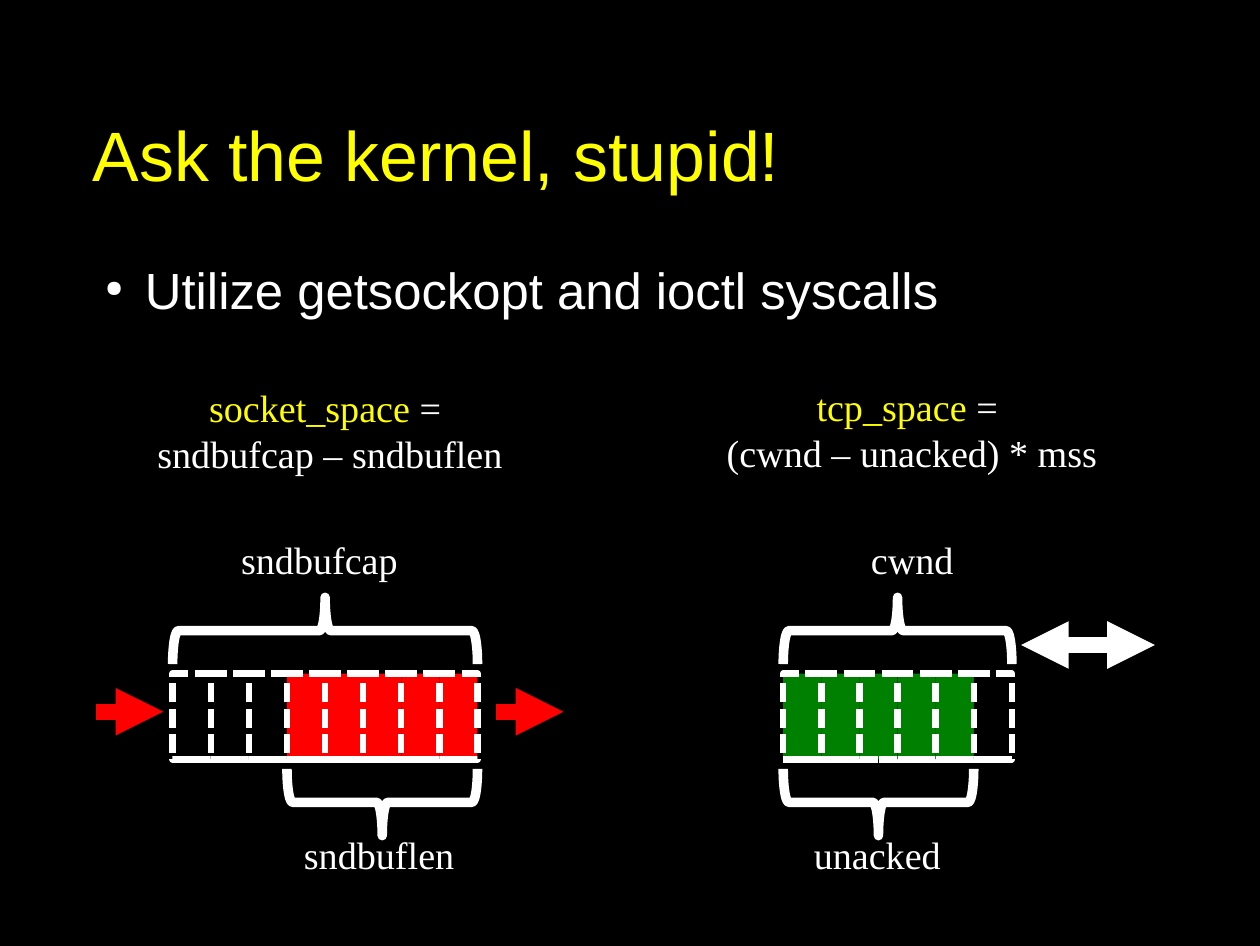
from lxml.etree import SubElement
from pptx import Presentation
from pptx.dml.color import RGBColor
from pptx.enum.dml import MSO_LINE
from pptx.enum.shapes import MSO_CONNECTOR, MSO_SHAPE
from pptx.enum.text import MSO_ANCHOR, MSO_AUTO_SIZE, PP_ALIGN
from pptx.oxml.ns import qn
from pptx.util import Pt

COLORS = {
    "black": "000000",
    "white": "FFFFFF",
    "yellow": "FFFF00",
    "red": "FF0000",
    "green": "008000",
}
CELL_WIDTH, CELL_HEIGHT, CELL_TOP = 24, 54, 424
BRACE_DEPTH, UPPER_BRACE_Y, LOWER_BRACE_Y = 42, 397, 505
ARROW_WIDTH = 10


def color(name):
    return RGBColor.from_string(COLORS[name])


def add_bullet(properties):
    SubElement(SubElement(properties, qn("a:buClr")), qn("a:srgbClr"), val=COLORS["white"])
    SubElement(properties, qn("a:buSzPct"), val="45000")
    SubElement(properties, qn("a:buChar"), char="●")


def add_text(slide, lines, left, top, width, height, *, font="Times New Roman", size=24,
             align=PP_ALIGN.LEFT, anchor=MSO_ANCHOR.TOP, wrap=True, margins=(7.2, 3.6),
             indent=0, hanging=0, spacing=None, after=None, bullet=False):
    frame = slide.shapes.add_textbox(Pt(left), Pt(top), Pt(width), Pt(height)).text_frame
    frame.word_wrap = wrap
    frame.auto_size = MSO_AUTO_SIZE.NONE if wrap else MSO_AUTO_SIZE.SHAPE_TO_FIT_TEXT
    frame.vertical_anchor = anchor
    frame.margin_left = frame.margin_right = Pt(margins[0])
    frame.margin_top = frame.margin_bottom = Pt(margins[1])
    for number, line in enumerate(lines):
        paragraph = frame.add_paragraph() if number else frame.paragraphs[0]
        properties = paragraph._p.get_or_add_pPr()
        properties.set("marL", str(Pt(indent)))
        properties.set("indent", str(Pt(-hanging)))
        if bullet:
            add_bullet(properties)
        paragraph.alignment = align
        paragraph.line_spacing = spacing
        paragraph.space_after = None if after is None else Pt(after)
        for words, ink in line:
            run = paragraph.add_run()
            run.text = words
            run.font.name = font
            run.font.size = Pt(size)
            run.font.color.rgb = color(ink)


def add_formula(slide, name, expression, left, top, width):
    add_text(slide, [[(name + " ", "yellow"), ("= ", "white")], [(expression, "white")]],
             left, top, width, 65.5, align=PP_ALIGN.CENTER, indent=36)


def add_label(slide, words, left, top, width):
    add_text(slide, [[(words, "white")]], left, top, width, 36, wrap=False)


def add_queue(slide, left, fills):
    for position, fill in enumerate(fills):
        cell = slide.shapes.add_shape(
            MSO_SHAPE.RECTANGLE, Pt(left + position * CELL_WIDTH), Pt(CELL_TOP),
            Pt(CELL_WIDTH), Pt(CELL_HEIGHT))
        cell.shadow.inherit = False
        cell.fill.solid()
        cell.fill.fore_color.rgb = color(fill)
        cell.line.color.rgb = color("white")
        cell.line.width = Pt(4)
        cell.line.dash_style = MSO_LINE.SQUARE_DOT


def add_brace(slide, left, cells, middle_y, rotation):
    span = cells * CELL_WIDTH
    brace = slide.shapes.add_shape(
        MSO_SHAPE.LEFT_BRACE, Pt(left + (span - BRACE_DEPTH) / 2), Pt(middle_y - span / 2),
        Pt(BRACE_DEPTH), Pt(span))
    brace.rotation = rotation
    brace.shadow.inherit = False
    brace.fill.background()
    brace.line.color.rgb = color("white")
    brace.line.width = Pt(6)


def add_arrow(slide, start, end, y, ink, ends=("tailEnd",)):
    arrow = slide.shapes.add_connector(MSO_CONNECTOR.STRAIGHT, Pt(start), Pt(y), Pt(end), Pt(y))
    arrow.line.color.rgb = color(ink)
    arrow.line.width = Pt(ARROW_WIDTH)
    outline = arrow.line._get_or_add_ln()
    for arrowhead in ends:
        SubElement(outline, qn("a:" + arrowhead), type="triangle")
    SubElement(arrow._element.spPr, qn("a:effectLst"))


def main():
    deck = Presentation()
    deck.slide_width, deck.slide_height = Pt(793.44), Pt(595.44)
    slide = deck.slides.add_slide(deck.slide_layouts[6])
    slide.background.fill.solid()
    slide.background.fill.fore_color.rgb = color("black")

    add_text(slide, [[("Ask the kernel, stupid!", "yellow")]], 58.3, 49.7, 676.8, 98.6,
             font="Arial", size=44, anchor=MSO_ANCHOR.MIDDLE, margins=(0, 0), spacing=0.95)
    add_text(slide, [[("Utilize getsockopt and ioctl syscalls", "white")]],
             58.3, 165.6, 698.4, 54, font="Arial", size=32, margins=(0, 0),
             indent=33, hanging=25, spacing=0.95, after=10.1, bullet=True)
    add_formula(slide, "socket_space", "sndbufcap – sndbuflen", 54.7, 238.3, 270)
    add_formula(slide, "tcp_space", "(cwnd – unacked) * mss", 409, 237.6, 294.5)

    socket_left, tcp_left = 108.7, 493.2
    add_queue(slide, socket_left, ["black"] * 3 + ["red"] * 5)
    add_brace(slide, socket_left, 8, UPPER_BRACE_Y, 90)
    add_brace(slide, socket_left + 3 * CELL_WIDTH, 5, LOWER_BRACE_Y, 270)
    add_label(slide, "sndbufcap", 144.7, 334, 114.5)
    add_label(slide, "sndbuflen", 184.3, 520, 110.2)
    for start in (60.5, 312.5):
        add_arrow(slide, start, start + 42.3, 448, "red")

    add_queue(slide, tcp_left, ["green"] * 5 + ["black"])
    add_brace(slide, tcp_left, 6, UPPER_BRACE_Y, 90)
    add_brace(slide, tcp_left, 5, LOWER_BRACE_Y, 270)
    add_label(slide, "cwnd", 541.4, 334, 67.7)
    add_label(slide, "unacked", 505.4, 520, 95)
    add_arrow(slide, 643, 727.2, 406, "white", ends=("headEnd", "tailEnd"))

    deck.save("out.pptx")


if __name__ == "__main__":
    main()
